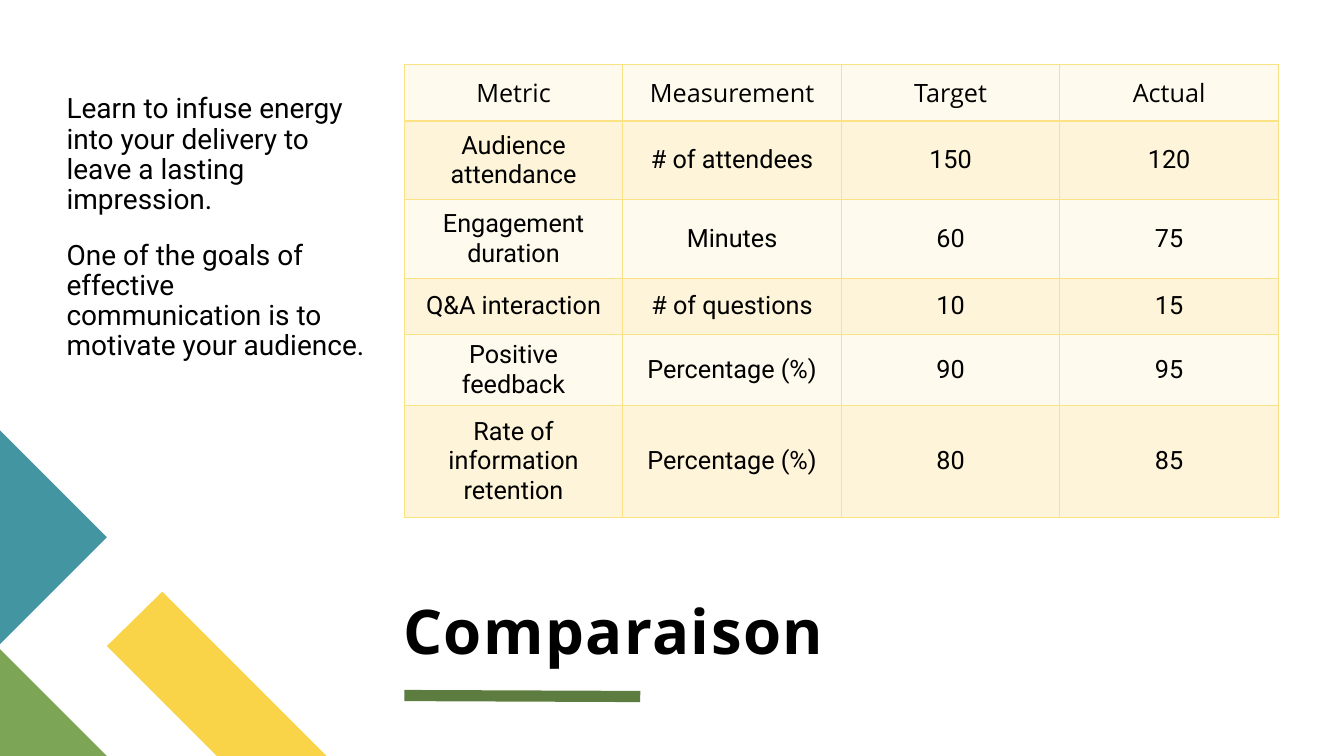
from lxml import etree
from pptx import Presentation
from pptx.dml.color import RGBColor
from pptx.enum.shapes import MSO_CONNECTOR
from pptx.enum.text import MSO_ANCHOR, PP_ALIGN
from pptx.oxml.ns import qn
from pptx.util import Inches, Pt

STRAIGHT = MSO_CONNECTOR.STRAIGHT
TOP, MIDDLE, BOTTOM = MSO_ANCHOR.TOP, MSO_ANCHOR.MIDDLE, MSO_ANCHOR.BOTTOM
CENTER = PP_ALIGN.CENTER

TITLE_FONT = {"name": "Open Sans", "size": Pt(44), "bold": True}
BODY_FONT = {"name": "Roboto", "size": Pt(20), "bold": False}
HEADER_FONT = {"name": "Open Sans", "size": Pt(18), "bold": False}
CELL_FONT = {"name": "Roboto", "size": Pt(18), "bold": False}


def color(hex_value):
    return RGBColor.from_string(hex_value)


def write(paragraph, text, font_format):
    run = paragraph.add_run()
    run.text = text
    for attribute, value in font_format.items():
        setattr(run.font, attribute, value)
    run.font.color.rgb = color("000000")
    return run


prs = Presentation()
prs.slide_width, prs.slide_height = Inches(13.33), Inches(7.5)
slide = prs.slides.add_slide(prs.slide_layouts[6])
shapes = slide.shapes

# Corner decoration
corner_pieces = [
    ("F9D448", [(3.24, 7.5), (2.15, 7.5), (1.06, 6.41), (1.61, 5.87)]),
    ("7CA655", [(1.06, 7.5), (0, 7.5), (0, 6.44)]),
    ("4495A2", [(0, 4.27), (1.06, 5.33), (0, 6.39)]),
]
for fill, corners in corner_pieces:
    points = [(Inches(x), Inches(y)) for x, y in corners]
    outline = shapes.build_freeform(*points[0])
    outline.add_line_segments(points[1:], close=True)
    piece = outline.convert_to_shape()
    piece.shadow.inherit = False
    piece.fill.solid()
    piece.fill.fore_color.rgb = color(fill)
    piece.line.fill.background()

# Underline below the title
underline = shapes.add_connector(
    STRAIGHT, Inches(4.01), Inches(6.9), Inches(6.35), Inches(6.91))
underline.line.color.rgb = color("5D7D40")
underline.line.width = Pt(8)
etree.SubElement(underline._element.spPr, qn("a:effectLst"))

# Title and advice
text_blocks = [
    ((4, 5.1, 8.68, 1.51), (0, 0, 0, 0), BOTTOM, TITLE_FONT,
     {"line_spacing": 0.8}, 1, ["Comparaison"]),
    ((0.66, 0.64, 3.09, 4.37), (0, 0.3, 0.1, 0.05), TOP, BODY_FONT,
     {"line_spacing": 0.9, "space_before": Pt(18)}, 0,
     ["Learn to infuse energy into your delivery to leave a lasting impression.",
      "One of the goals of effective communication is to motivate your audience."]),
]
for area, insets, anchor, font_format, spacing, tracking, texts in text_blocks:
    frame = shapes.add_textbox(*map(Inches, area)).text_frame
    frame.word_wrap = True
    frame.vertical_anchor = anchor
    for side, inset in zip(("left", "top", "right", "bottom"), insets):
        setattr(frame, f"margin_{side}", Inches(inset))
    for index, text in enumerate(texts):
        paragraph = frame.add_paragraph() if index else frame.paragraphs[0]
        for attribute, value in spacing.items():
            setattr(paragraph, attribute, value)
        run = write(paragraph, text, font_format)
        if tracking:
            run.font._element.set("spc", str(tracking * 100))

# Metrics table
metrics = [
    ("Metric", "Measurement", "Target", "Actual"),
    ("Audience attendance", "# of attendees", "150", "120"),
    ("Engagement duration", "Minutes", "60", "75"),
    ("Q&A interaction", "# of questions", "10", "15"),
    ("Positive feedback", "Percentage (%)", "90", "95"),
    ("Rate of information retention", "Percentage (%)", "80", "85"),
]
row_heights = [0.56, 0.78, 0.78, 0.56, 0.56, 1.11]
table = shapes.add_table(
    len(metrics), len(metrics[0]),
    Inches(4.01), Inches(0.64), Inches(8.67), Inches(sum(row_heights))).table

for row_index, values in enumerate(metrics):
    table.rows[row_index].height = Inches(row_heights[row_index])
    for column_index, value in enumerate(values):
        cell = table.cell(row_index, column_index)
        cell.vertical_anchor = MIDDLE
        paragraph = cell.text_frame.paragraphs[0]
        paragraph.alignment = CENTER
        write(paragraph, value, CELL_FONT if row_index else HEADER_FONT)

        # Borders come before the fill in the cell properties
        properties = cell._tc.get_or_add_tcPr()
        for edge in ("lnL", "lnR", "lnT", "lnB"):
            border = etree.SubElement(properties, qn(f"a:{edge}"), w=str(Pt(1)))
            border_fill = etree.SubElement(border, qn("a:solidFill"))
            etree.SubElement(border_fill, qn("a:srgbClr"), val="FBE284")
        cell.fill.solid()
        cell.fill.fore_color.rgb = color("FDF4D9" if row_index % 2 else "FEFAED")

prs.save("out.pptx")
